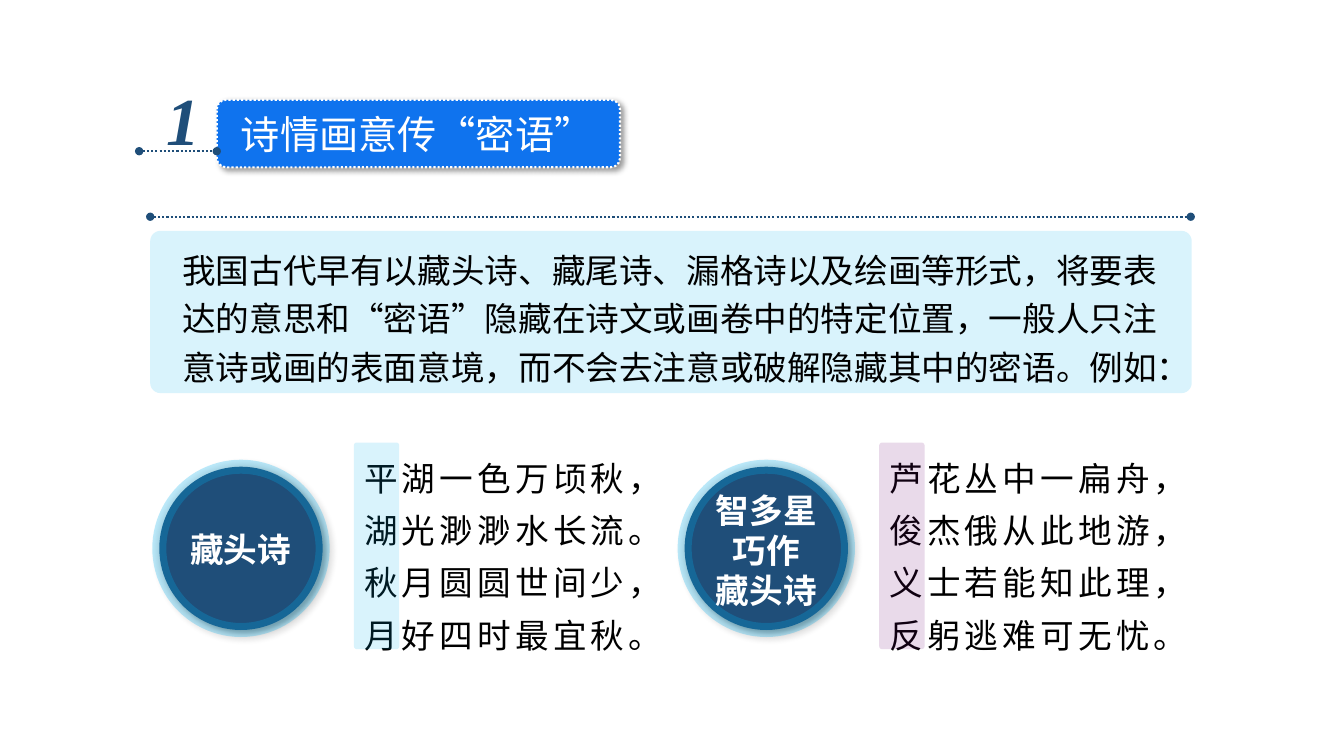
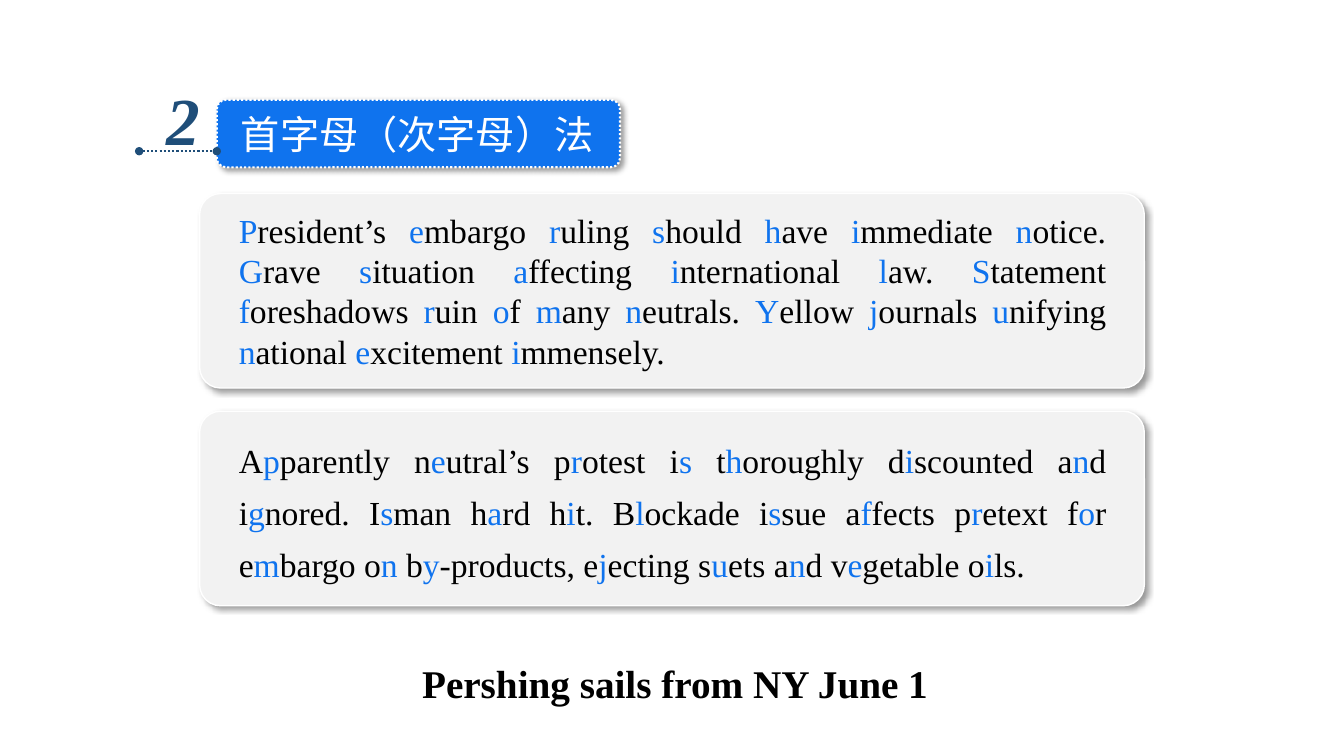
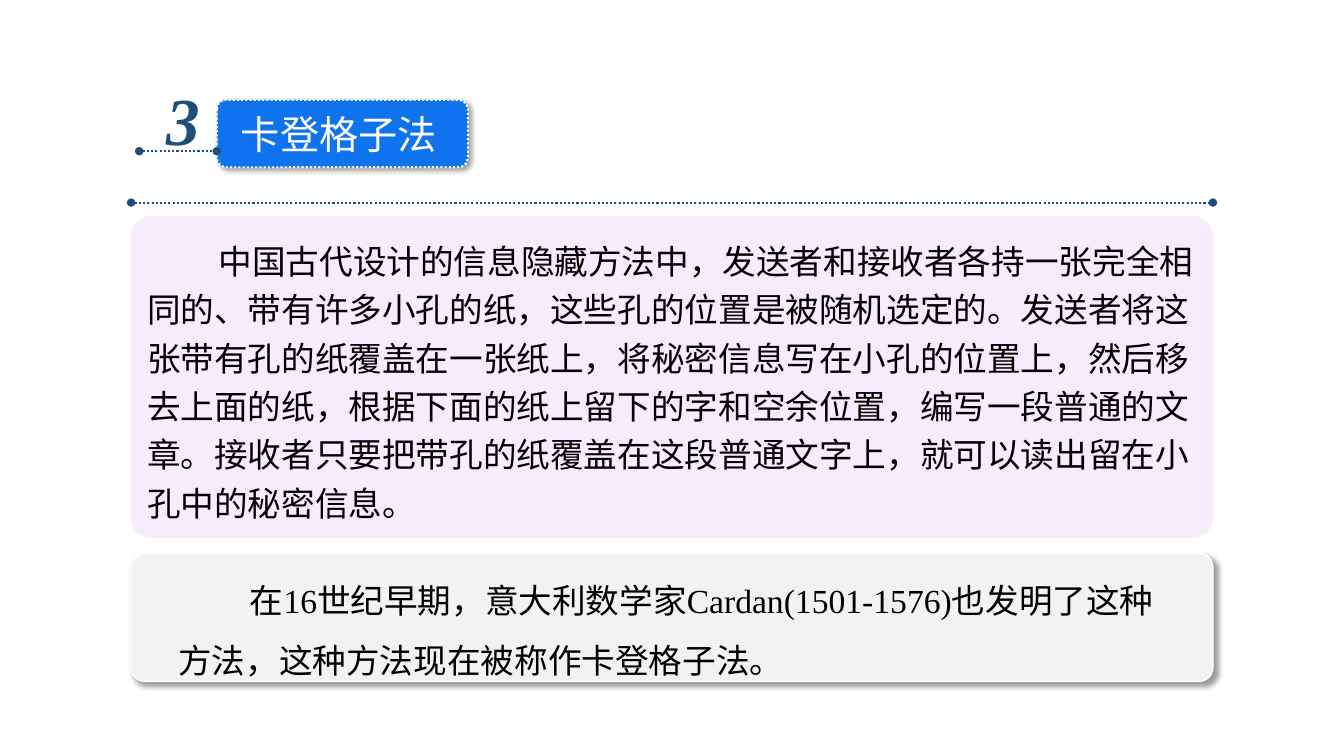
"""Three slides on classical ways of hiding a message in a text."""
from dataclasses import dataclass

import pptx
import pptx.dml.color
import pptx.enum.dml
import pptx.enum.shapes
import pptx.enum.text
import pptx.oxml.ns
import pptx.util
from lxml import etree

EMU_PER_PX = 9144
COLORS = {
    "black": "000000", "white": "FFFFFF", "navy": "1F4E79", "blue": "0F73EE",
    "sky": "00B0F0", "plum": "6E0876", "lilac": "E3C9F7", "grey": "F2F2F2",
}
SANS = "Noto Sans CJK SC"
SERIF = "Times New Roman"
ALIGN = pptx.enum.text.PP_ALIGN
ANCHOR = pptx.enum.text.MSO_ANCHOR
SHAPE = pptx.enum.shapes.MSO_SHAPE


@dataclass(frozen=True)
class Box:
    """A rectangle in px."""
    left: int
    top: int
    width: int
    height: int

    def emu(self) -> tuple:
        """Return the rectangle in EMU."""
        return tuple(px(v) for v in (self.left, self.top, self.width, self.height))


@dataclass(frozen=True)
class TextStyle:
    """How a piece of text looks."""
    font: str = SANS
    size: int = 24
    color: str = "black"
    bold: bool = False
    italic: bool = False
    tracking: int = 0
    align: ALIGN = ALIGN.LEFT
    line_spacing: float = 1.0
    indent: int = 0
    wrap: bool = True
    anchor: ANCHOR = ANCHOR.TOP


@dataclass(frozen=True)
class Poem:
    """An acrostic with its round label and first-letter bar."""
    left: int
    label: tuple
    label_width: int
    label_height: int
    lines: tuple
    bar_color: str


@dataclass(frozen=True)
class Cipher:
    """A letter cipher on a card."""
    top: int
    text_height: int
    text: str
    letter: int
    line_spacing: float


TITLE = TextStyle(size=28, color="white", wrap=False)
NUMBER = TextStyle(SERIF, 48, "navy", bold=True, italic=True, wrap=False)
BODY = TextStyle(line_spacing=1.2)
INDENTED = TextStyle(line_spacing=1.2, indent=71)
CARD_NOTE = TextStyle(SERIF, line_spacing=1.5, indent=71)
VERSE = TextStyle(tracking=3, align=ALIGN.CENTER, line_spacing=1.3)
LABEL = TextStyle(color="white", bold=True, align=ALIGN.CENTER, wrap=False, anchor=ANCHOR.MIDDLE)
ANSWER = TextStyle(SERIF, 28, bold=True, align=ALIGN.CENTER, wrap=False)

POEMS = (
    Poem(158, ("藏头诗",), 137, 56,
         ("平湖一色万顷秋，", "湖光渺渺水长流。", "秋月圆圆世间少，", "月好四时最宜秋。"), "sky"),
    Poem(679, ("智多星", "巧作", "藏头诗"), 166, 131,
         ("芦花丛中一扁舟，", "俊杰俄从此地游，", "义士若能知此理，", "反躬逃难可无忧。"), "plum"),
)
CIPHERS = (
    Cipher(192, 172,
           "President’s embargo ruling should have immediate notice. Grave situation "
           "affecting international law. Statement foreshadows ruin of many neutrals. "
           "Yellow journals unifying national excitement immensely.", 0, 1.0),
    Cipher(408, 162,
           "Apparently neutral’s protest is thoroughly discounted and ignored. Isman "
           "hard hit. Blockade issue affects pretext for embargo on by-products, "
           "ejecting suets and vegetable oils.", 1, 1.3),
)


def px(value: int) -> int:
    """Turn px into EMU."""
    return value * EMU_PER_PX


def rgb(name: str) -> pptx.dml.color.RGBColor:
    """Look a colour up by name."""
    return pptx.dml.color.RGBColor.from_string(COLORS[name])


def add_child(parent, tag: str, **attributes: str):
    """Append a DrawingML element."""
    return etree.SubElement(parent, pptx.oxml.ns.qn(tag), **attributes)


def find(shape, query: str):
    """Find an element among the shape properties."""
    return shape.element.spPr.find(query, pptx.oxml.ns.namespaces("a"))


def set_opacity(shape, query: str, percent: int) -> None:
    """Make the solid fill at the query translucent."""
    add_child(find(shape, query + "a:solidFill/a:srgbClr"), "a:alpha", val=str(percent * 1000))


def add_drop_shadow(shape) -> None:
    """Give the shape the common soft shadow."""
    shadow = add_child(find(shape, "a:effectLst"), "a:outerShdw", blurRad="50800",
                       dist="38100", dir="2700000", algn="tl", rotWithShape="0")
    add_child(add_child(shadow, "a:prstClr", val="black"), "a:alpha", val="40000")


def add_run(paragraph, text: str, style: TextStyle, color: str) -> None:
    """Add one formatted run."""
    run = paragraph.add_run()
    run.text = text
    font = run.font
    font.size = pptx.util.Pt(style.size)
    font.bold, font.italic = style.bold, style.italic
    font.color.rgb = rgb(color)
    font.name = style.font
    properties = run._r.get_or_add_rPr()
    add_child(properties, "a:ea", typeface=SANS)
    if style.tracking:
        properties.set("spc", str(style.tracking * 100))


def write(shape, paragraphs, style: TextStyle) -> None:
    """Fill a text shape with paragraphs of (text, colour) runs."""
    frame = shape.text_frame
    frame.word_wrap = style.wrap
    frame.auto_size = pptx.enum.text.MSO_AUTO_SIZE.SHAPE_TO_FIT_TEXT
    frame.vertical_anchor = style.anchor
    for index, runs in enumerate(paragraphs):
        paragraph = frame.add_paragraph() if index else frame.paragraphs[0]
        paragraph.alignment = style.align
        paragraph.line_spacing = style.line_spacing
        if style.indent:
            paragraph._p.get_or_add_pPr().set("indent", str(px(style.indent)))
        for text, color in runs:
            add_run(paragraph, text, style, color)


def plain(style: TextStyle, *lines: str) -> list:
    """Make one single-run paragraph per line."""
    return [[(line, style.color)] for line in lines]


def add_text(slide, box: Box, paragraphs, style: TextStyle) -> None:
    """Add a text box."""
    write(slide.shapes.add_textbox(*box.emu()), paragraphs, style)


def add_panel(slide, box: Box, color: str, radius: float = 0.063, opacity: int = 100,
              kind: SHAPE = SHAPE.ROUNDED_RECTANGLE):
    """Add a filled shape without outline."""
    shape = slide.shapes.add_shape(kind, *box.emu())
    if kind == SHAPE.ROUNDED_RECTANGLE:
        shape.adjustments[0] = radius
    shape.shadow.inherit = False
    shape.fill.solid()
    shape.fill.fore_color.rgb = rgb(color)
    shape.line.fill.background()
    if opacity < 100:
        set_opacity(shape, "", opacity)
    return shape


def outline(shape, color: str, width: float) -> None:
    """Give a shape a solid outline."""
    shape.line.color.rgb = rgb(color)
    shape.line.width = pptx.util.Pt(width)


def add_card(slide, box: Box) -> None:
    """Add a grey card with a shadow."""
    card = add_panel(slide, box, "grey", 0.108)
    outline(card, "white", 1)
    add_drop_shadow(card)


def add_dotted_rule(slide, left: int, right: int, y: int) -> None:
    """Add a dotted horizontal line with round ends."""
    rule = slide.shapes.add_connector(pptx.enum.shapes.MSO_CONNECTOR.STRAIGHT,
                                      px(left), px(y), px(right), px(y))
    outline(rule, "navy", 1.5)
    rule.line.dash_style = pptx.enum.dml.MSO_LINE.ROUND_DOT
    for tag in ("a:headEnd", "a:tailEnd"):
        add_child(find(rule, "a:ln"), tag, type="oval")
    add_child(rule.element.spPr, "a:effectLst")


def add_titled_slide(presentation, number: int, title: str, banner_width: int):
    """Add a slide with its numbered title banner."""
    slide = presentation.slides.add_slide(presentation.slide_layouts[5])
    banner = add_panel(slide, Box(215, 99, banner_width, 67), "blue", 0.137)
    outline(banner, "white", 1.5)
    banner.line.dash_style = pptx.enum.dml.MSO_LINE.ROUND_DOT
    add_drop_shadow(banner)
    heading = slide.shapes.title
    heading.left, heading.top, heading.width, heading.height = Box(
        229, 104, 39 * len(title) + 22, 57).emu()
    write(heading, plain(TITLE, title), TITLE)
    banner.element.addnext(heading.element)
    add_text(slide, Box(155, 73, 54, 91), plain(NUMBER, str(number)), NUMBER)
    add_dotted_rule(slide, 138, 215, 150)
    return slide


def add_poem(slide, poem: Poem) -> None:
    """Add an acrostic with its label and bar."""
    diameter = 162
    circle = add_panel(slide, Box(poem.left, 463, diameter, diameter), "navy", kind=SHAPE.OVAL)
    outline(circle, "sky", 10)
    set_opacity(circle, "a:ln/", 25)
    add_drop_shadow(circle)
    label_box = Box(poem.left + (diameter - poem.label_width) // 2,
                    545 - poem.label_height // 2, poem.label_width, poem.label_height)
    add_text(slide, label_box, plain(LABEL, *poem.label), LABEL)
    add_text(slide, Box(poem.left + 176, 437, 350, 216), plain(VERSE, *poem.lines), VERSE)
    add_panel(slide, Box(poem.left + 193, 439, 45, 205), poem.bar_color, opacity=15)


def mark_letters(text: str, letter: int) -> list:
    """Split text into runs with one letter of every word in blue."""
    runs = []
    words = text.split()
    for index, word in enumerate(words):
        space = " " if index < len(words) - 1 else ""
        runs += [(word[:letter], "black"), (word[letter], "blue"),
                 (word[letter + 1:] + space, "black")]
    return [run for run in runs if run[0]]


def add_cipher(slide, cipher: Cipher) -> None:
    """Add a cipher card."""
    add_card(slide, Box(198, cipher.top, 937, 193))
    style = TextStyle(SERIF, align=ALIGN.JUSTIFY, line_spacing=cipher.line_spacing)
    add_text(slide, Box(227, cipher.top + 11, 880, cipher.text_height),
             [mark_letters(cipher.text, cipher.letter)], style)


def build_poem_slide(presentation) -> None:
    """Build the acrostic slide."""
    slide = add_titled_slide(presentation, 1, "诗情画意传“密语”", 400)
    add_dotted_rule(slide, 149, 1181, 215)
    add_panel(slide, Box(149, 229, 1033, 161), "sky", opacity=15)
    add_text(slide, Box(171, 235, 988, 152), plain(
        BODY,
        "我国古代早有以藏头诗、藏尾诗、漏格诗以及绘画等形式，将要表达的意思和“密语”"
        "隐藏在诗文或画卷中的特定位置，一般人只注意诗或画的表面意境，"
        "而不会去注意或破解隐藏其中的密语。例如："), BODY)
    for poem in POEMS:
        add_poem(slide, poem)


def build_letter_slide(presentation) -> None:
    """Build the letter cipher slide."""
    slide = add_titled_slide(presentation, 2, "首字母（次字母）法", 400)
    for cipher in CIPHERS:
        add_cipher(slide, cipher)
    add_text(slide, Box(406, 649, 527, 57), plain(ANSWER, "Pershing sails from NY June 1"), ANSWER)


def build_grille_slide(presentation) -> None:
    """Build the Cardan grille slide."""
    slide = add_titled_slide(presentation, 3, "卡登格子法", 249)
    add_dotted_rule(slide, 130, 1203, 201)
    add_panel(slide, Box(130, 214, 1073, 320), "lilac", opacity=34)
    add_text(slide, Box(136, 226, 1061, 298), plain(
        INDENTED,
        "中国古代设计的信息隐藏方法中，发送者和接收者各持一张完全相同的、带有许多小孔的纸，"
        "这些孔的位置是被随机选定的。发送者将这张带有孔的纸覆盖在一张纸上，"
        "将秘密信息写在小孔的位置上，然后移去上面的纸，根据下面的纸上留下的字和空余位置，"
        "编写一段普通的文章。接收者只要把带孔的纸覆盖在这段普通文字上，"
        "就可以读出留在小孔中的秘密信息。"), INDENTED)
    add_card(slide, Box(130, 549, 1073, 127))
    add_text(slide, Box(167, 550, 999, 125), plain(
        CARD_NOTE,
        "在16世纪早期，意大利数学家Cardan(1501-1576)也发明了这种方法，"
        "这种方法现在被称作卡登格子法。"), CARD_NOTE)


def main() -> None:
    """Build and save the presentation."""
    presentation = pptx.Presentation()
    presentation.slide_width, presentation.slide_height = px(1333), px(750)
    build_poem_slide(presentation)
    build_letter_slide(presentation)
    build_grille_slide(presentation)
    presentation.save("out.pptx")


if __name__ == "__main__":
    main()
